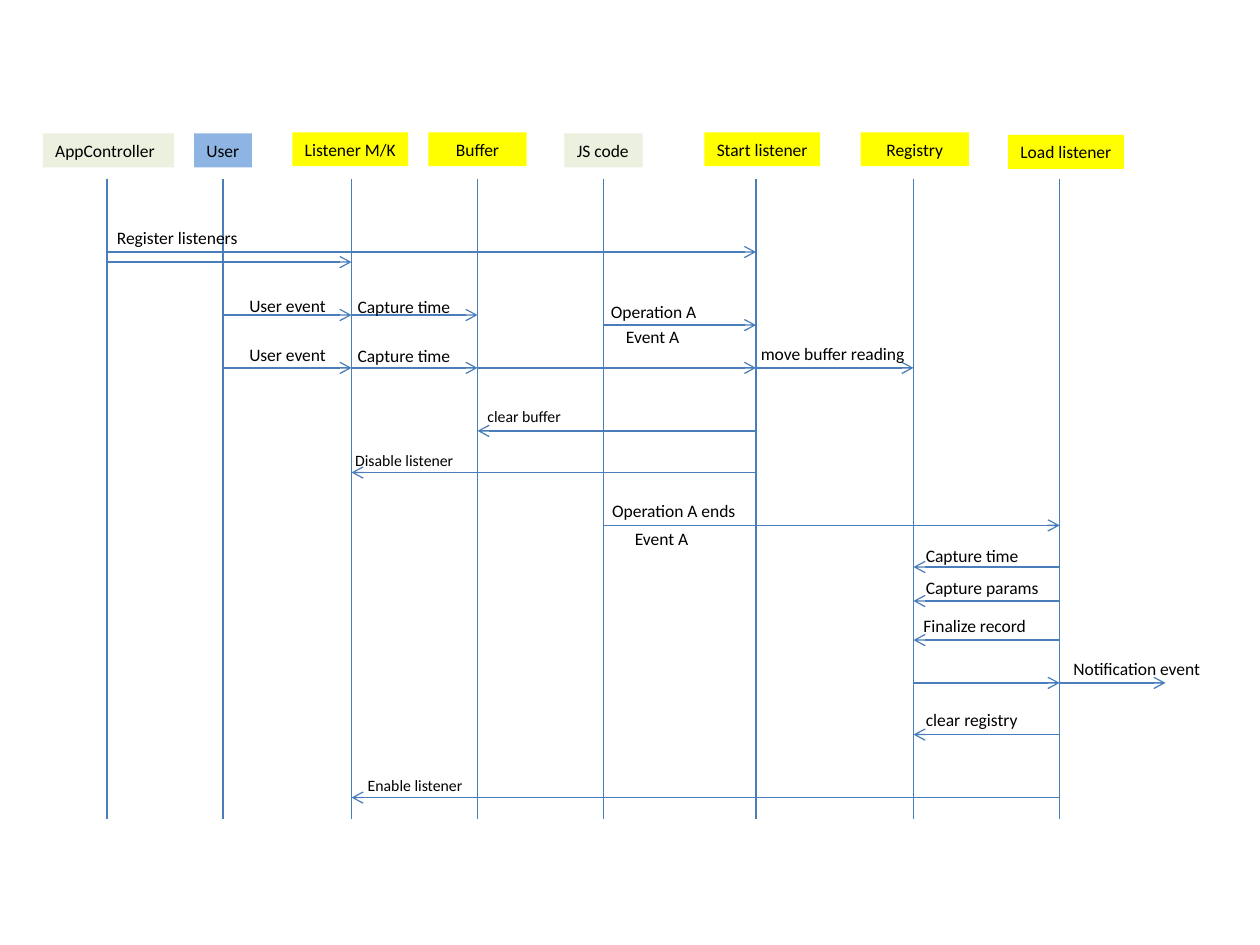
from lxml.etree import SubElement
from pptx import Presentation
from pptx.dml.color import RGBColor
from pptx.enum.shapes import MSO_CONNECTOR, MSO_SHAPE
from pptx.enum.text import MSO_AUTO_SIZE, PP_ALIGN
from pptx.oxml.ns import qn
from pptx.util import Inches, Pt

BLACK = RGBColor(0x00, 0x00, 0x00)
LINE_BLUE = RGBColor(0x4A, 0x7E, 0xBB)
USER_BLUE = RGBColor(0x8E, 0xB4, 0xE3)
YELLOW = RGBColor(0xFF, 0xFF, 0x00)
PALE_GREEN = RGBColor(0xEB, 0xF1, 0xDE)

LIFELINE_TOP, LIFELINE_BOTTOM = 1.42, 6.5
HEADER_HEIGHT = 0.27

# Name, lifeline x, header left, header top, header width, fill, alignment
PARTICIPANTS = [
    ("AppController", 0.85, 0.34, 1.06, 1.04, PALE_GREEN, PP_ALIGN.LEFT),
    ("User", 1.77, 1.54, 1.06, 0.46, USER_BLUE, PP_ALIGN.LEFT),
    ("Listener M/K", 2.79, 2.32, 1.05, 0.92, YELLOW, PP_ALIGN.LEFT),
    ("Buffer", 3.79, 3.40, 1.05, 0.78, YELLOW, PP_ALIGN.CENTER),
    ("JS code", 4.79, 4.48, 1.06, 0.62, PALE_GREEN, PP_ALIGN.LEFT),
    ("Start listener", 6.0, 5.59, 1.05, 0.92, YELLOW, PP_ALIGN.LEFT),
    ("Registry", 7.25, 6.83, 1.05, 0.86, YELLOW, PP_ALIGN.CENTER),
    ("Load listener", 8.41, 8.0, 1.07, 0.92, YELLOW, PP_ALIGN.LEFT),
]
APP, USER, LISTENER, BUFFER, CODE, START, REGISTRY, LOAD, OUTSIDE = range(9)
STOPS = [participant[1] for participant in PARTICIPANTS] + [9.25]

# Sender, receiver, y, labels; a label is text, shift from the arrow's
# left end, rise above the arrow, width and font size
MESSAGES = [
    (APP, START, 2.0, [("Register listeners", -0.02, 0.25, 1.16, 10)]),
    (APP, LISTENER, 2.08, []),
    (USER, LISTENER, 2.5, [("User event", 0.11, 0.21, 0.81, 10)]),
    (LISTENER, BUFFER, 2.5, [("Capture time", -0.05, 0.2, 0.96, 10)]),
    (CODE, START, 2.58, [("Operation A", -0.04, 0.24, 0.88, 10),
                         ("Event A", 0.08, 0.04, 0.63, 10)]),
    (USER, LISTENER, 2.92, [("User event", 0.11, 0.24, 0.81, 10)]),
    (LISTENER, BUFFER, 2.92, [("Capture time", -0.05, 0.23, 0.96, 10)]),
    (BUFFER, START, 2.92, []),
    (START, REGISTRY, 2.92, [("move buffer reading", -0.06, 0.25, 1.34, 10)]),
    (START, BUFFER, 3.42, [("clear buffer", -0.02, 0.24, 0.78, 9)]),
    (START, LISTENER, 3.75, [("Disable listener", -0.07, 0.22, 0.98, 9)]),
    (CODE, LOAD, 4.17, [("Operation A ends", -0.03, 0.25, 1.18, 10),
                        ("Event A", 0.15, 0.03, 0.63, 10)]),
    (LOAD, REGISTRY, 4.5, [("Capture time", 0, 0.22, 0.96, 10)]),
    (LOAD, REGISTRY, 4.77, [("Capture params", 0, 0.24, 1.1, 10)]),
    (LOAD, REGISTRY, 5.08, [("Finalize record", -0.02, 0.25, 1.02, 10)]),
    (REGISTRY, LOAD, 5.42, []),
    (LOAD, OUTSIDE, 5.42, [("Notification event", 0.01, 0.25, 1.21, 10)]),
    (LOAD, REGISTRY, 5.83, [("clear registry", 0, 0.25, 0.93, 10)]),
    (LOAD, LISTENER, 6.33, [("Enable listener", 0.03, 0.22, 0.95, 9)]),
]


def add_line(slide, x1, y1, x2, y2, arrow=False):
    line = slide.shapes.add_connector(
        MSO_CONNECTOR.STRAIGHT, *map(Inches, (x1, y1, x2, y2)))
    line.line.color.rgb = LINE_BLUE
    line.line.width = Pt(0.75)
    if arrow:
        SubElement(line.line._get_or_add_ln(), qn("a:tailEnd"), type="arrow")
    SubElement(line._element.spPr, qn("a:effectLst"))


def write_text(shape, text, size=10, alignment=PP_ALIGN.LEFT):
    frame = shape.text_frame
    frame.text = text
    frame.word_wrap = False
    frame.auto_size = MSO_AUTO_SIZE.SHAPE_TO_FIT_TEXT
    paragraph = frame.paragraphs[0]
    paragraph.alignment = alignment
    font = paragraph.runs[0].font
    font.name = "Calibri"
    font.size = Pt(size)
    font.color.rgb = BLACK


def add_participant(slide, name, x, left, top, width, fill, alignment):
    add_line(slide, x, LIFELINE_TOP, x, LIFELINE_BOTTOM)
    header = slide.shapes.add_shape(
        MSO_SHAPE.RECTANGLE, *map(Inches, (left, top, width, HEADER_HEIGHT)))
    header.shadow.inherit = False
    header.fill.solid()
    header.fill.fore_color.rgb = fill
    header.line.fill.background()
    write_text(header, name, alignment=alignment)


def add_message(slide, sender, receiver, y, labels):
    start, end = STOPS[sender], STOPS[receiver]
    add_line(slide, start, y, end, y, arrow=True)
    for text, shift, rise, width, size in labels:
        height = 0.27 if size == 10 else 0.25
        label = slide.shapes.add_textbox(
            *map(Inches, (min(start, end) + shift, y - rise, width, height)))
        write_text(label, text, size)


def main():
    presentation = Presentation()
    presentation.slide_width = Inches(10)
    presentation.slide_height = Inches(7.5)
    slide = presentation.slides.add_slide(presentation.slide_layouts[6])
    for participant in PARTICIPANTS:
        add_participant(slide, *participant)
    for message in MESSAGES:
        add_message(slide, *message)
    presentation.save("out.pptx")


if __name__ == "__main__":
    main()
